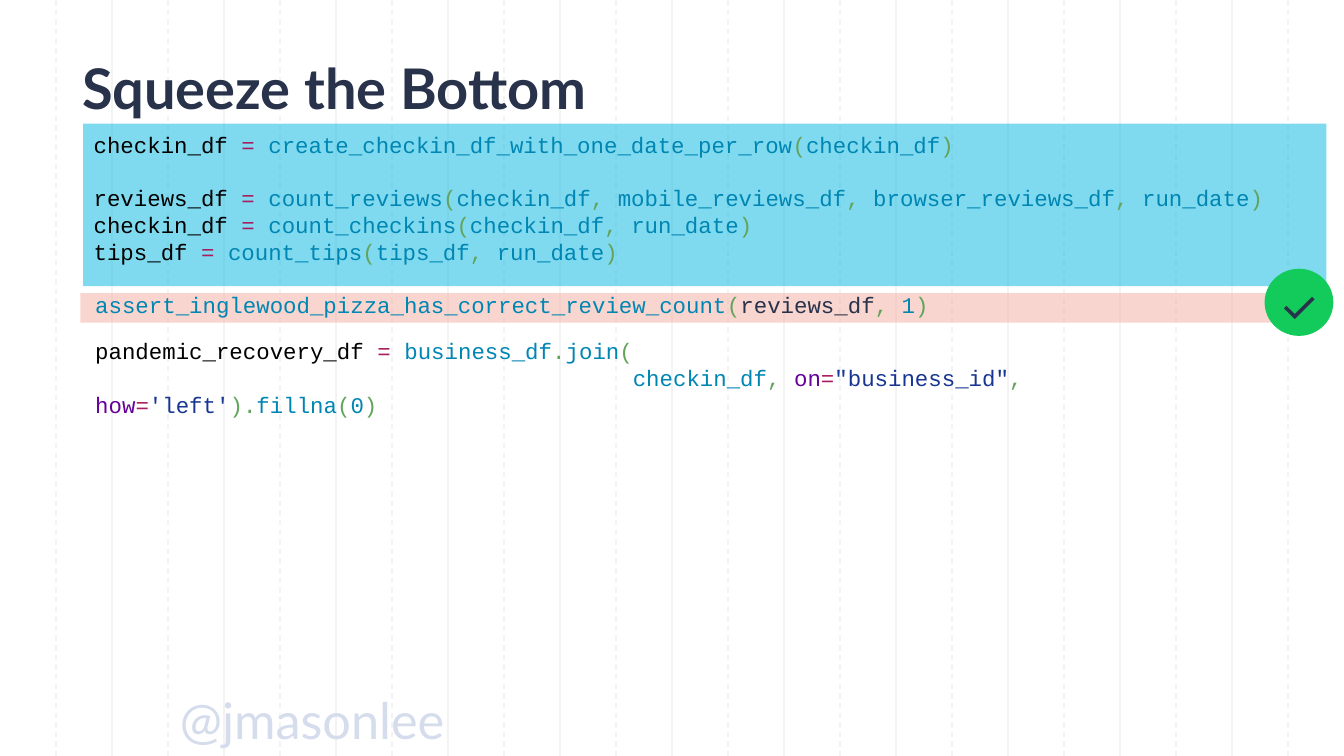
"""Build the "Squeeze the Bottom" slide: highlighted code above a passing assertion."""
from typing import NamedTuple

from lxml import etree
from pptx import Presentation
from pptx.dml.color import RGBColor
from pptx.enum.dml import MSO_LINE
from pptx.enum.shapes import MSO_CONNECTOR, MSO_SHAPE
from pptx.enum.text import MSO_ANCHOR, PP_ALIGN
from pptx.oxml.ns import qn
from pptx.util import Cm, Pt

STRAIGHT = MSO_CONNECTOR.STRAIGHT
RECTANGLE = MSO_SHAPE.RECTANGLE
OVAL = MSO_SHAPE.OVAL
DASH = MSO_LINE.DASH
MIDDLE = MSO_ANCHOR.MIDDLE
LEFT = PP_ALIGN.LEFT
CENTER = PP_ALIGN.CENTER

NAVY = "28324A"
BLACK = "000000"
GRID = "F3F3F3"
GREEN = "12CB5A"
NAME = "0086B3"
PUNCTUATION = "63A35C"
OPERATOR = "A71D5D"
KEYWORD = "660099"
STRING = "183691"
HANDLE = "D5DCEC"

WIDTH, HEIGHT = 25.4, 14.29
GRID_COLUMNS = 24
CODE_LINE = Pt(14.4)


class Box(NamedTuple):
    left: float
    top: float
    width: float
    height: float

    def lengths(self) -> tuple:
        return tuple(Cm(value) for value in self)


class Token(NamedTuple):
    text: str
    color: str


class CodeLine(NamedTuple):
    tokens: list[Token]
    space_before: float = 0
    indent: float = 0


class Band(NamedTuple):
    box: Box
    color: str
    opacity: int = 100
    preset: int = RECTANGLE


def rgb(color: str) -> RGBColor:
    return RGBColor.from_string(color)


def add_run(paragraph, token: Token, font: str, size: float, bold: bool = False) -> None:
    run = paragraph.add_run()
    run.text = token.text
    run.font.name = font
    run.font.size = Pt(size)
    run.font.bold = bold
    run.font.color.rgb = rgb(token.color)


def clear_margins(frame) -> None:
    frame.margin_left = frame.margin_right = 0
    frame.margin_top = frame.margin_bottom = 0
    frame.vertical_anchor = MIDDLE


def add_grid_line(slide, column: int) -> None:
    x = Cm(WIDTH * column / GRID_COLUMNS)
    line = slide.shapes.add_connector(STRAIGHT, x, 0, x, Cm(HEIGHT))
    line.line.color.rgb = rgb(GRID)
    line.line.width = Pt(0.75)
    if column % 2:
        line.line.dash_style = DASH
    etree.SubElement(line._element.spPr, qn("a:effectLst"))


def add_band(slide, band: Band):
    shape = slide.shapes.add_shape(band.preset, *band.box.lengths())
    shape.shadow.inherit = False
    shape.fill.solid()
    shape.fill.fore_color.rgb = rgb(band.color)
    shape.line.fill.background()
    if band.opacity < 100:
        color = shape._element.spPr.find(qn("a:solidFill"))[0]
        etree.SubElement(color, qn("a:alpha"), val=str(band.opacity * 1000))
    return shape


def add_code(slide, box: Box, lines: list[CodeLine]) -> None:
    frame = slide.shapes.add_textbox(*box.lengths()).text_frame
    frame.word_wrap = True
    for index, line in enumerate(lines):
        paragraph = frame.add_paragraph() if index else frame.paragraphs[0]
        paragraph.line_spacing = CODE_LINE
        paragraph.space_before = Pt(line.space_before)
        if line.indent:
            paragraph._p.get_or_add_pPr().set("indent", str(Cm(line.indent)))
        for token in line.tokens:
            add_run(paragraph, token, "Courier New", 12)


def call(function: str, *arguments: Token) -> list[Token]:
    tokens = [Token(function, NAME), Token("(", PUNCTUATION)]
    for index, argument in enumerate(arguments):
        if index:
            tokens.append(Token(", ", PUNCTUATION))
        tokens.append(argument)
    return tokens + [Token(")", PUNCTUATION)]


def assign(target: str, value: list[Token]) -> list[Token]:
    return [Token(f"{target} ", BLACK), Token("= ", OPERATOR), *value]


def assign_call(target: str, function: str, *names: str) -> list[Token]:
    return assign(target, call(function, *(Token(name, NAME) for name in names)))


def option(keyword: str, value: str) -> list[Token]:
    return [Token(keyword, KEYWORD), Token("=", OPERATOR), Token(value, STRING)]


def main() -> None:
    deck = Presentation()
    deck.slide_width, deck.slide_height = Cm(WIDTH), Cm(HEIGHT)
    slide = deck.slides.add_slide(deck.slide_layouts[5])

    for column in range(1, GRID_COLUMNS):
        add_grid_line(slide, column)
    add_band(slide, Band(Box(1.52, 5.54, 23.5, 0.56), "F5ACA1", 50))
    add_band(slide, Band(Box(1.57, 2.34, 23.5, 3.07), "00B6E0", 50))

    title = slide.shapes.title
    title.left, title.top, title.width, title.height = Box(1.55, 1.12, 22.22, 1.22).lengths()
    clear_margins(title.text_frame)
    heading = title.text_frame.paragraphs[0]
    heading.alignment = LEFT
    heading.line_spacing = 0.9
    add_run(heading, Token("Squeeze the Bottom", NAVY), "Lato", 30, bold=True)
    slide.shapes._spTree.append(title._element)

    add_code(slide, Box(1.55, 5.38, 20.45, 0.76), [
        CodeLine(call("assert_inglewood_pizza_has_correct_review_count",
                      Token("reviews_df", NAVY), Token("1", NAME))),
    ])
    add_code(slide, Box(1.55, 6.25, 22.2, 1.8), [
        CodeLine(assign("pandemic_recovery_df", [
            Token("business_df", NAME), Token(".", PUNCTUATION),
            Token("join", NAME), Token("(", PUNCTUATION)])),
        CodeLine([
            Token("checkin_df", NAME), Token(", ", PUNCTUATION),
            *option("on", '"business_id"'), Token(", ", PUNCTUATION),
            *option("how", "'left'"), Token(").", PUNCTUATION),
            *call("fillna", Token("0", NAME))], indent=10.16),
    ])

    add_band(slide, Band(Box(23.9, 5.08, 1.3, 1.27), GREEN, preset=OVAL))
    check = add_band(slide, Band(Box(24.08, 5.41, 0.97, 0.64), GREEN)).text_frame
    clear_margins(check)
    check.paragraphs[0].alignment = CENTER
    check.paragraphs[0].line_spacing = 1.11
    add_run(check.paragraphs[0], Token("✓", NAVY), "Inter", 24)

    add_code(slide, Box(1.52, 2.36, 22.71, 3.07), [
        CodeLine(assign_call("checkin_df", "create_checkin_df_with_one_date_per_row", "checkin_df")),
        CodeLine(assign_call("reviews_df", "count_reviews", "checkin_df", "mobile_reviews_df",
                             "browser_reviews_df", "run_date"), space_before=14),
        CodeLine(assign_call("checkin_df", "count_checkins", "checkin_df", "run_date")),
        CodeLine(assign_call("tips_df", "count_tips", "tips_df", "run_date")),
    ])

    handle = slide.shapes.add_textbox(*Box(3.4, 13, 6, 1.2).lengths()).text_frame
    clear_margins(handle)
    add_run(handle.paragraphs[0], Token("@jmasonlee", HANDLE), "Lato", 27)

    deck.save("out.pptx")


if __name__ == "__main__":
    main()
